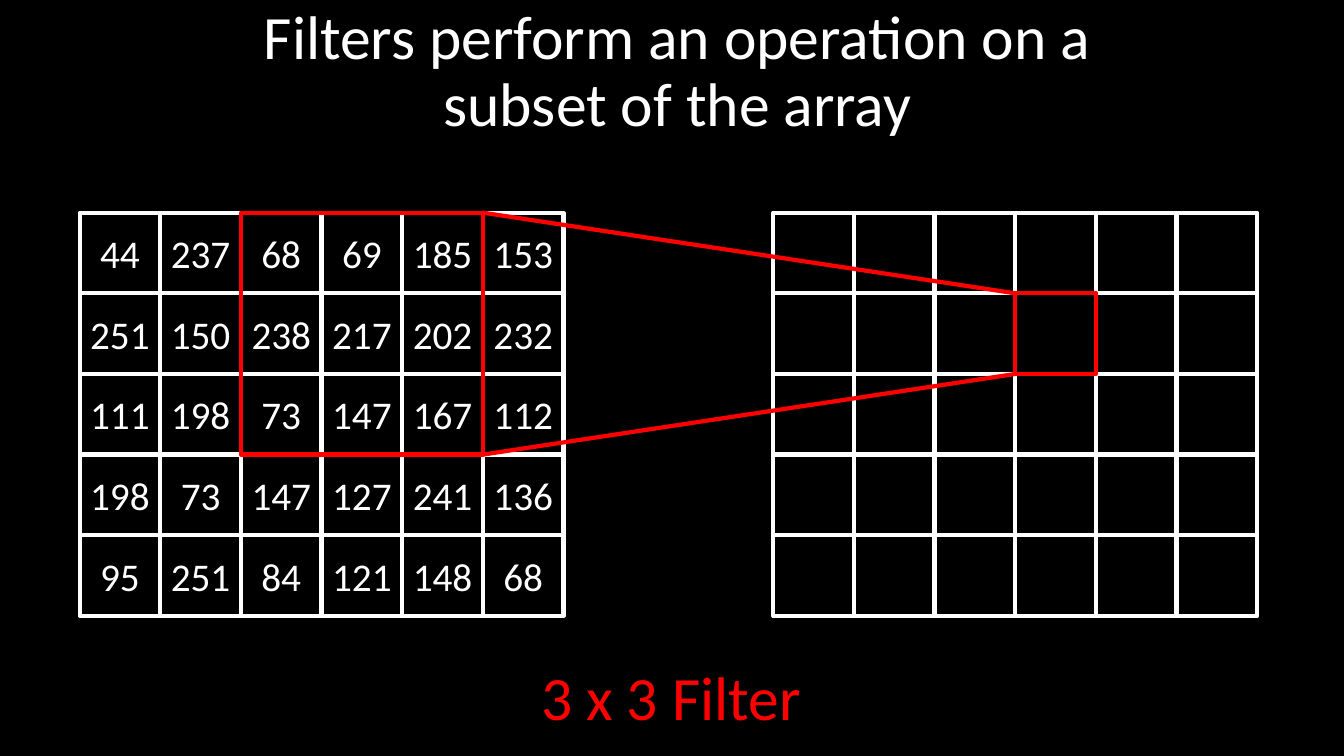
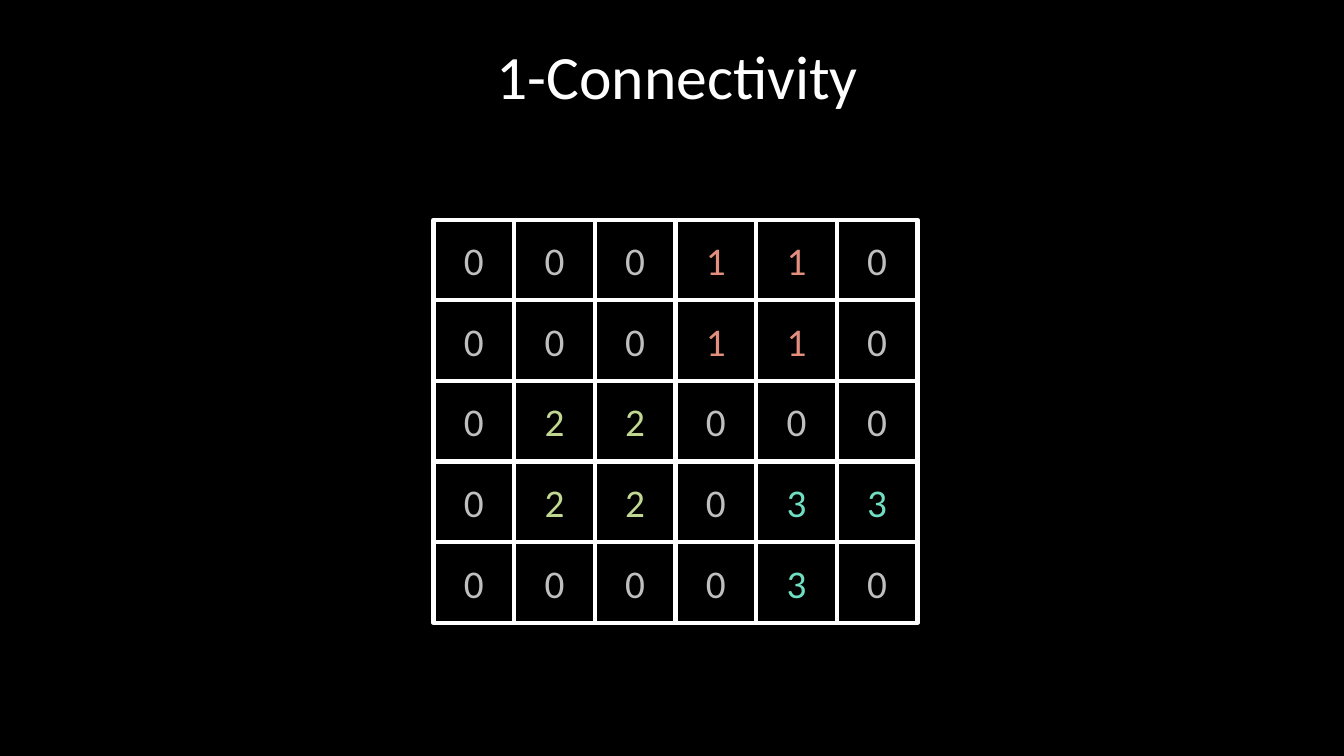
from dataclasses import dataclass

from lxml import etree
from pptx import Presentation
from pptx.dml.color import RGBColor
from pptx.enum.shapes import MSO_CONNECTOR, MSO_SHAPE
from pptx.enum.text import MSO_ANCHOR, MSO_AUTO_SIZE, PP_ALIGN
from pptx.oxml.ns import qn
from pptx.shapes.autoshape import Shape
from pptx.shapes.group import GroupShape
from pptx.slide import Slide
from pptx.text.text import TextFrame
from pptx.util import Inches, Pt

RECT, STRAIGHT = MSO_SHAPE.RECTANGLE, MSO_CONNECTOR.STRAIGHT
CENTER, MIDDLE = PP_ALIGN.CENTER, MSO_ANCHOR.MIDDLE
NO_FIT, FIT_SHAPE = MSO_AUTO_SIZE.NONE, MSO_AUTO_SIZE.SHAPE_TO_FIT_TEXT

COLORS = {
    "background": "000000",
    "white": "FFFFFF",
    "filter": "FF0000",
    "zero": "BFBFBF",
    "region1": "E28F7D",
    "region2": "C1D892",
    "region3": "70DEC1",
}
REGION_COLORS = {0: "zero", 1: "region1", 2: "region2", 3: "region3"}
FONT = "Calibri"
TITLE_SIZE, CELL_SIZE = 44, 28
LINE_WIDTH = 3
CELL = 0.8
ROWS, COLS = 5, 6

PIXELS = [
    [44, 237, 68, 69, 185, 153],
    [251, 150, 238, 217, 202, 232],
    [111, 198, 73, 147, 167, 112],
    [198, 73, 147, 127, 241, 136],
    [95, 251, 84, 121, 148, 68],
]
LABELS = [
    [0, 0, 0, 1, 1, 0],
    [0, 0, 0, 1, 1, 0],
    [0, 2, 2, 0, 0, 0],
    [0, 2, 2, 0, 3, 3],
    [0, 0, 0, 0, 3, 0],
]


@dataclass(frozen=True)
class Grid:
    left: float
    top: float

    def corner(self, row: int, col: int) -> tuple[float, float]:
        """Return x and y, in inches, of the top left corner of a cell."""
        return self.left + col * CELL, self.top + row * CELL


@dataclass(frozen=True)
class Window:
    """A square block of cells in a grid."""
    grid: Grid
    row: int
    col: int
    span: int

    def right_end(self) -> int:
        return self.col + self.span

    def bottom_end(self) -> int:
        return self.row + self.span


def rgb(name: str) -> RGBColor:
    return RGBColor.from_string(COLORS[name])


def format_text(tf: TextFrame, size: int, color: str) -> None:
    for p in tf.paragraphs:
        for r in p.runs:
            r.font.name = FONT
            r.font.size = Pt(size)
            r.font.color.rgb = rgb(color)


def add_title(slide: Slide, text: str, top: float) -> None:
    title = slide.shapes.title
    title.left, title.top = Inches(0.97), Inches(top)
    title.width, title.height = Inches(11.5), Inches(1.45)
    tf = title.text_frame
    tf.text = text
    tf.auto_size = NO_FIT
    tf.vertical_anchor = MIDDLE
    for p in tf.paragraphs:
        p.alignment = CENTER
        p.line_spacing = 0.9
    format_text(tf, TITLE_SIZE, "white")


def add_outline(group: GroupShape, window: Window, color: str) -> Shape:
    x, y = window.grid.corner(window.row, window.col)
    side = Inches(window.span * CELL)
    sp = group.shapes.add_shape(RECT, Inches(x), Inches(y), side, side)
    sp.shadow.inherit = False
    sp.fill.background()
    sp.line.color.rgb = rgb(color)
    sp.line.width = Pt(LINE_WIDTH)
    return sp


def add_cells(slide: Slide, grid: Grid, values: list[list[int]] | None = None,
              colors: dict[int, str] | None = None, filled: bool = False) -> None:
    """Draw the array; numbers missing from colors are white."""
    group = slide.shapes.add_group_shape()
    for row in range(ROWS):
        for col in range(COLS):
            sp = add_outline(group, Window(grid, row, col, 1), "white")
            if filled:
                sp.fill.solid()
                sp.fill.fore_color.rgb = rgb("background")
            if values:
                value = values[row][col]
                tf = sp.text_frame
                tf.text = str(value)
                tf.word_wrap = False
                tf.vertical_anchor = MIDDLE
                tf.paragraphs[0].alignment = CENTER
                format_text(tf, CELL_SIZE, (colors or {}).get(value, "white"))


def add_ray(group: GroupShape, start: tuple[float, float],
            end: tuple[float, float]) -> None:
    points = [Inches(n) for n in (*start, *end)]
    line = group.shapes.add_connector(STRAIGHT, *points)
    line.line.color.rgb = rgb("filter")
    line.line.width = Pt(LINE_WIDTH)
    etree.SubElement(line._element.spPr, qn("a:effectLst"))


def add_projection(slide: Slide, source: Window, target: Window) -> None:
    """Outline both windows and join their facing corners."""
    group = slide.shapes.add_group_shape()
    for window in (target, source):
        add_outline(group, window, "filter")
    for source_row, target_row in ((source.row, target.row),
                                   (source.bottom_end(), target.bottom_end())):
        add_ray(group, source.grid.corner(source_row, source.right_end()),
                target.grid.corner(target_row, target.col))


def add_filter_label(slide: Slide, text: str) -> None:
    box = slide.shapes.add_textbox(Inches(5.27), Inches(6.49), Inches(2.8), Inches(0.84))
    tf = box.text_frame
    tf.text = text
    tf.word_wrap = False
    tf.auto_size = FIT_SHAPE
    format_text(tf, TITLE_SIZE, "filter")


def build_filter_slide(slide: Slide) -> None:
    add_title(slide, "Filters perform an operation on a\nsubset of the array", 0)
    source, result = Grid(0.79, 2.11), Grid(7.67, 2.11)
    add_cells(slide, source, PIXELS)
    add_cells(slide, result)
    add_projection(slide, Window(source, 0, 2, 3), Window(result, 1, 3, 1))
    add_filter_label(slide, "3 x 3 Filter")


def build_connectivity_slide(slide: Slide) -> None:
    add_title(slide, "1-Connectivity", 0.06)
    add_cells(slide, Grid(4.3, 2.18), LABELS, REGION_COLORS, filled=True)


def main() -> None:
    prs = Presentation()
    prs.slide_width, prs.slide_height = Inches(13.33), Inches(7.5)
    background = prs.slide_master.background.fill
    background.solid()
    background.fore_color.rgb = rgb("background")
    title_only = prs.slide_layouts[5]
    for build in (build_filter_slide, build_connectivity_slide):
        build(prs.slides.add_slide(title_only))
    prs.save("out.pptx")


if __name__ == "__main__":
    main()
